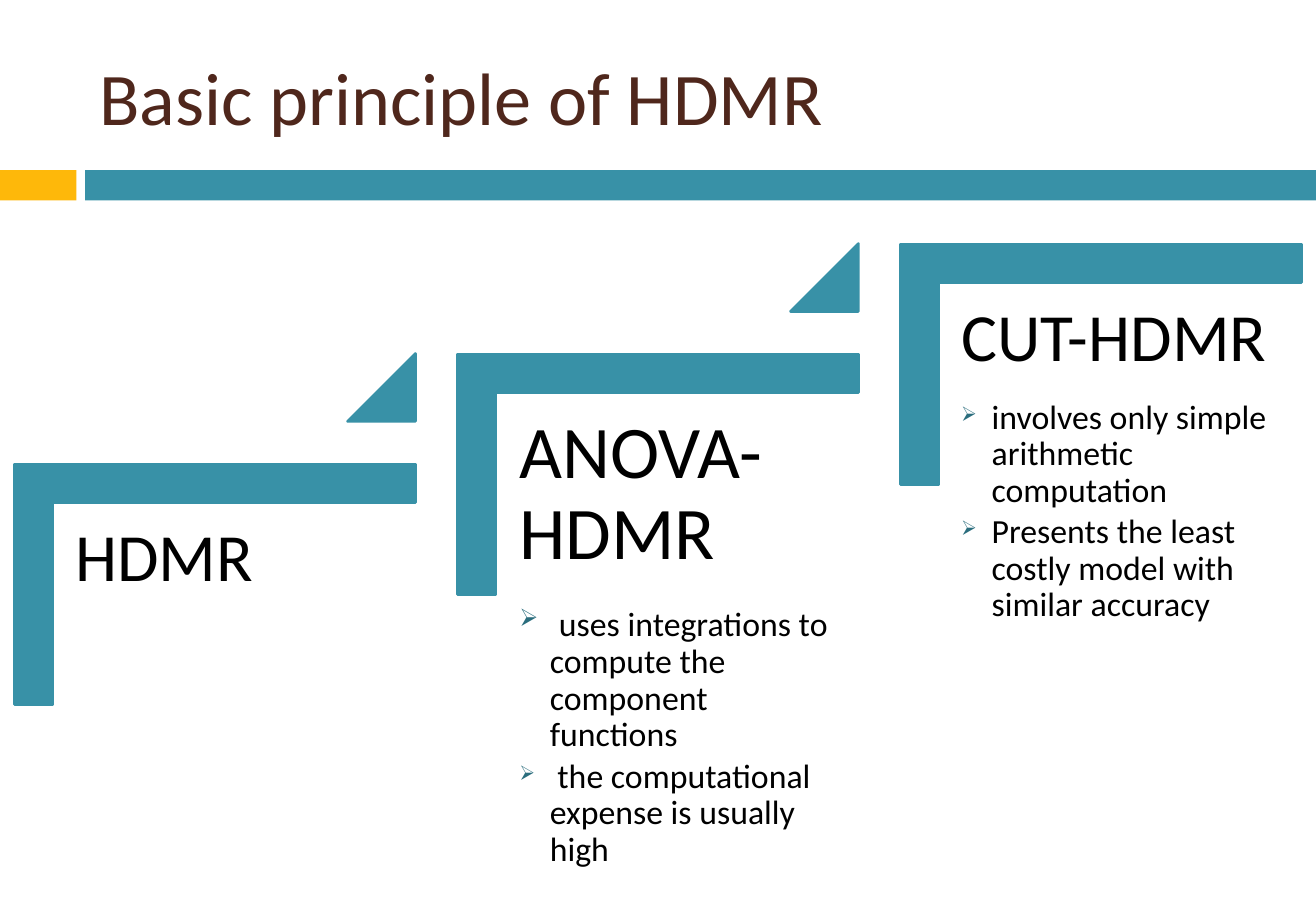
from lxml import etree
from pptx import Presentation
from pptx.dml.color import RGBColor
from pptx.enum import shapes, text
from pptx.oxml import ns
from pptx.util import Inches, Pt

TEAL = RGBColor(0x38, 0x91, 0xA7)
AMBER = RGBColor(0xFE, 0xB8, 0x0A)
BROWN = RGBColor(0x4F, 0x27, 0x1C)
BLACK = RGBColor(0, 0, 0)
BULLET_COLOR = "2A6D7D"
FONT = "Calibri"

FIRST_LEFT, FIRST_TOP = 0.78, 3.16
STEP_RIGHT, STEP_UP = 7.29 / 2, 1.81 / 2

STEPS = [
    ("HDMR", 40, 0.17, []),
    ("ANOVA-HDMR", 44, 0.18, [
        [(" ", 24), ("uses integrations to compute the component functions", 20)],
        [(" the computational expense is usually high", 20)],
    ]),
    ("CUT-HDMR", 40, 0.17, [
        [("involves only simple arithmetic computation", 20)],
        [("Presents the least costly model with similar accuracy", 20)],
    ]),
]


def add_block(slide, kind, left, top, width, height, color, outlined=False):
    shape = slide.shapes.add_shape(
        kind, Inches(left), Inches(top), Inches(width), Inches(height))
    shape.shadow.inherit = False
    shape.fill.solid()
    shape.fill.fore_color.rgb = color
    if outlined:
        shape.line.color.rgb = color
        shape.line.width = Pt(1.5)
    else:
        shape.line.fill.background()
    return shape


def add_text_frame(slide, left, top, width, height, inset):
    box = slide.shapes.add_textbox(
        Inches(left), Inches(top), Inches(width), Inches(height))
    frame = box.text_frame
    frame.word_wrap = True
    frame.margin_left = frame.margin_right = Inches(inset)
    frame.margin_top = frame.margin_bottom = Inches(inset)
    return frame


def add_run(paragraph, content, size, color=BLACK):
    run = paragraph.add_run()
    run.text = content
    run.font.name = FONT
    run.font.size = Pt(size)
    run.font.color.rgb = color


def set_spacing(paragraph, after):
    paragraph.line_spacing = 0.9
    paragraph.space_after = Pt(after)


def add_bullet(paragraph):
    properties = paragraph._p.get_or_add_pPr()
    properties.set("marL", str(Inches(0.25)))
    properties.set("indent", str(Inches(-0.25)))
    color = etree.SubElement(properties, ns.qn("a:buClr"))
    etree.SubElement(color, ns.qn("a:srgbClr"), val=BULLET_COLOR)
    etree.SubElement(properties, ns.qn("a:buSzPct"), val="60000")
    etree.SubElement(properties, ns.qn("a:buChar"), char="➢")


def add_title(slide, title):
    frame = add_text_frame(slide, 0.72, 0.25, 9.66, 1.08, 0.1)
    frame.vertical_anchor = text.MSO_ANCHOR.MIDDLE
    add_run(frame.paragraphs[0], title, 44, BROWN)


def add_step(slide, left, top, heading, size, inset, bullets):
    corner = add_block(slide, shapes.MSO_SHAPE.CORNER, left, top, 1.98, 3.3, TEAL, True)
    corner.rotation = 90
    corner.adjustments[0] = corner.adjustments[1] = 0.16

    frame = add_text_frame(slide, left - 0.33, top + 0.98, 2.98, 2.61, inset)
    paragraph = frame.paragraphs[0]
    set_spacing(paragraph, size * 0.35)
    add_run(paragraph, heading, size)
    for runs in bullets:
        paragraph = frame.add_paragraph()
        paragraph.level = 1
        set_spacing(paragraph, 3)
        add_bullet(paragraph)
        for content, run_size in runs:
            add_run(paragraph, content, run_size)


def add_step_marker(slide, left, top):
    triangle = add_block(slide, shapes.MSO_SHAPE.ISOSCELES_TRIANGLE,
                         left + 2.08, top - 0.25, 0.56, 0.56, TEAL, True)
    triangle.adjustments[0] = 1


def main():
    presentation = Presentation()
    presentation.slide_width = Inches(10.83)
    presentation.slide_height = Inches(7.5)
    slide = presentation.slides.add_slide(presentation.slide_layouts[6])

    add_block(slide, shapes.MSO_SHAPE.RECTANGLE, 0, 1.4, 0.63, 0.25, AMBER)
    add_block(slide, shapes.MSO_SHAPE.RECTANGLE, 0.7, 1.4, 10.13, 0.25, TEAL)
    add_title(slide, "Basic principle of HDMR")

    for index, step in enumerate(STEPS):
        left = FIRST_LEFT + index * STEP_RIGHT
        top = FIRST_TOP - index * STEP_UP
        add_step(slide, left, top, *step)
        if index < len(STEPS) - 1:
            add_step_marker(slide, left, top)

    presentation.save("out.pptx")


if __name__ == "__main__":
    main()
